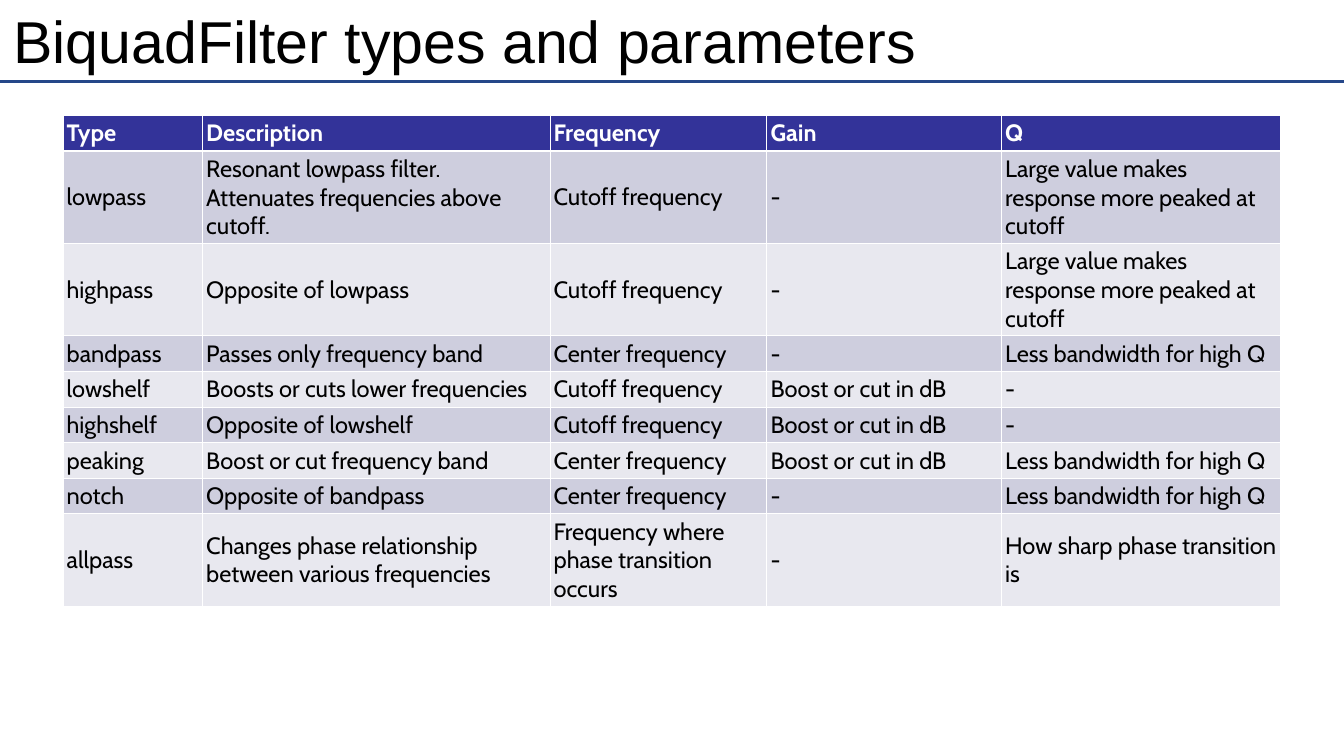
from dataclasses import dataclass

from lxml import etree
from pptx import Presentation
from pptx import util as u
from pptx.dml.color import RGBColor
from pptx.enum import shapes, text
from pptx.oxml.ns import qn


@dataclass(frozen=True)
class Theme:
    title_font: str = "Arial"
    table_font: str = "Cabin"
    title_size: int = 60
    table_size: int = 24
    ink: str = "000000"
    white: str = "FFFFFF"
    rule: str = "254789"
    header: str = "333399"
    bands: tuple = ("CECEDE", "E8E8EF")


class Deck:
    def __init__(self, theme, width, height):
        self.theme = theme
        self.prs = Presentation()
        self.prs.slide_width, self.prs.slide_height = u.Cm(width), u.Cm(height)
        self.slide = self.prs.slides.add_slide(self.prs.slide_layouts[6])

    def set_text(self, tf, content, font, size, color, bold=False):
        tf.text = content
        for r in tf.paragraphs[0].runs:
            r.font.name = font
            r.font.size = u.Pt(size)
            r.font.bold = bold
            r.font.color.rgb = RGBColor.from_string(color)

    def title(self, content, *box):
        sp = self.slide.shapes.add_textbox(*map(u.Cm, box))
        tf = sp.text_frame
        tf.word_wrap = True
        tf.vertical_anchor = text.MSO_ANCHOR.MIDDLE
        tf.margin_left = tf.margin_right = tf.margin_top = tf.margin_bottom = u.Cm(0.15)
        self.set_text(tf, content, self.theme.title_font, self.theme.title_size, self.theme.ink)

    def rule(self, y, width):
        line = self.slide.shapes.add_connector(
            shapes.MSO_CONNECTOR.STRAIGHT, 0, u.Cm(y), u.Cm(width), u.Cm(y))
        line.line.color.rgb = RGBColor.from_string(self.theme.rule)
        line.line.width = u.Pt(3)
        etree.SubElement(line._element.spPr, qn("a:effectLst"))

    def borders(self, cell, top, bottom):
        tcPr = cell._tc.get_or_add_tcPr()
        for side, points in (("L", 1), ("R", 1), ("T", top), ("B", bottom)):
            ln = etree.SubElement(tcPr, qn(f"a:ln{side}"), w=str(u.Pt(points)))
            fill = etree.SubElement(ln, qn("a:solidFill"))
            etree.SubElement(fill, qn("a:srgbClr"), val=self.theme.white)

    def cell(self, cell, content, row):
        th = self.theme
        header = row == 0
        cell.margin_left = cell.margin_right = cell.margin_top = cell.margin_bottom = u.Cm(0.13)
        cell.vertical_anchor = text.MSO_ANCHOR.MIDDLE
        self.borders(cell, 3 if row == 1 else 1, 3 if header else 1)
        cell.fill.solid()
        cell.fill.fore_color.rgb = RGBColor.from_string(
            th.header if header else th.bands[(row - 1) % 2])
        self.set_text(cell.text_frame, content, th.table_font, th.table_size,
                      th.white if header else th.ink, header)

    def table(self, rows, left, top, widths, row_height):
        frame = self.slide.shapes.add_table(
            len(rows), len(widths), u.Cm(left), u.Cm(top),
            u.Cm(sum(widths)), u.Cm(row_height * len(rows)))
        table = frame.table
        table.horz_banding = False
        for column, width in zip(table.columns, widths):
            column.width = u.Cm(width)
        for i, row in enumerate(rows):
            for j, content in enumerate(row):
                self.cell(table.cell(i, j), content, i)


CUTOFF = "Cutoff frequency"
CENTER = "Center frequency"
BOOST = "Boost or cut in dB"
PEAKED = "Large value makes response more peaked at cutoff"
NARROW = "Less bandwidth for high Q"
FILTERS = [
    ("Type", "Description", "Frequency", "Gain", "Q"),
    ("lowpass", "Resonant lowpass filter. Attenuates frequencies above cutoff.",
     CUTOFF, "-", PEAKED),
    ("highpass", "Opposite of lowpass", CUTOFF, "-", PEAKED),
    ("bandpass", "Passes only frequency band", CENTER, "-", NARROW),
    ("lowshelf", "Boosts or cuts lower frequencies", CUTOFF, BOOST, "-"),
    ("highshelf", "Opposite of lowshelf", CUTOFF, BOOST, "-"),
    ("peaking", "Boost or cut frequency band", CENTER, BOOST, NARROW),
    ("notch", "Opposite of bandpass", CENTER, "-", NARROW),
    ("allpass", "Changes phase relationship between various frequencies",
     "Frequency where phase transition occurs", "-", "How sharp phase transition is"),
]


def main():
    width = 48.16
    deck = Deck(Theme(), width, 27.1)
    deck.rule(2.92, width)
    deck.title("BiquadFilter types and parameters", 0.33, 0.15, 47.47, 2.57)
    deck.table(FILTERS, 2.26, 4.14, (5, 12.45, 7.77, 8.41, 10), 1.04)
    deck.prs.save("out.pptx")


if __name__ == "__main__":
    main()
